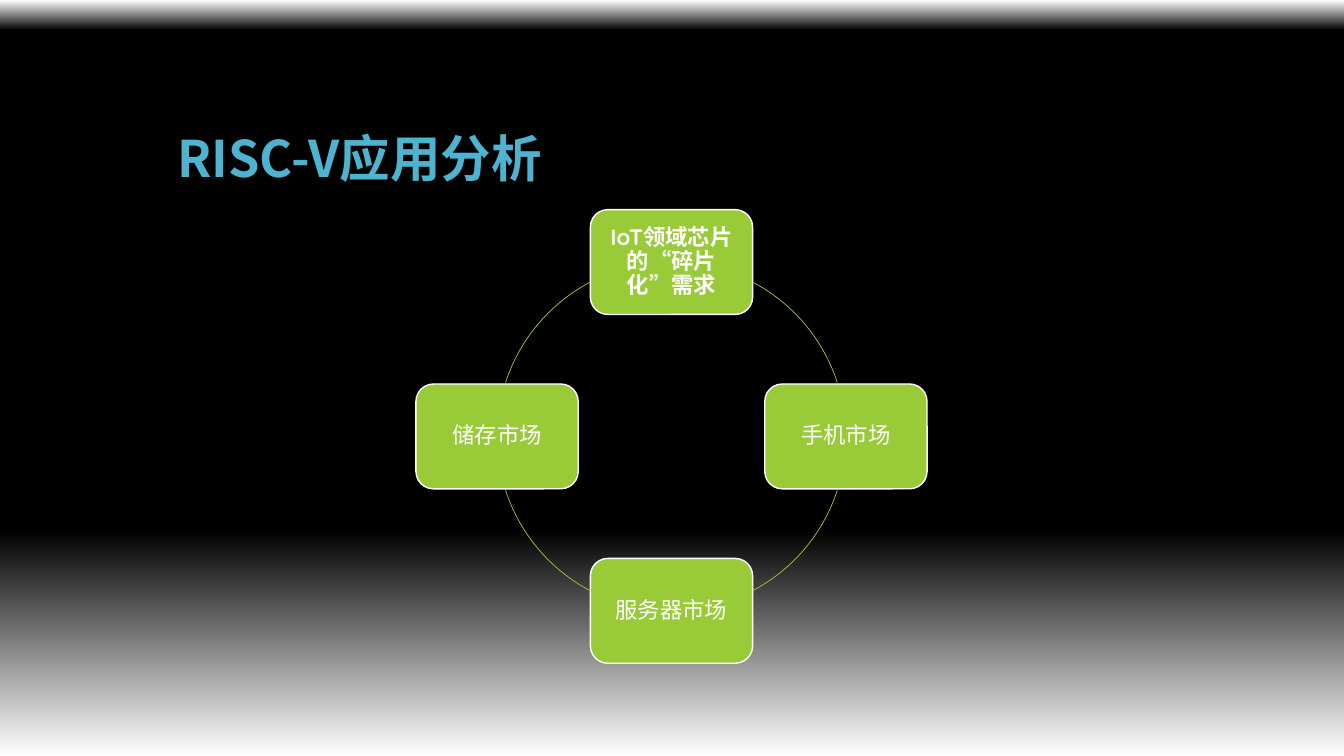
from pptx import Presentation
from pptx.dml.color import RGBColor
from pptx.enum.shapes import MSO_SHAPE
from pptx.enum.text import MSO_ANCHOR, MSO_AUTO_SIZE, PP_ALIGN
from pptx.oxml.ns import qn
from pptx.util import Inches, Pt
from copy import deepcopy

ROUND, ARC = MSO_SHAPE.ROUNDED_RECTANGLE, MSO_SHAPE.ARC
BOTTOM, MIDDLE = MSO_ANCHOR.BOTTOM, MSO_ANCHOR.MIDDLE
LEFT, CENTER = PP_ALIGN.LEFT, PP_ALIGN.CENTER
NO_FIT = MSO_AUTO_SIZE.NONE

HAN, LATIN = "Noto Sans CJK SC", "Quicksand"
GREEN, WHITE, BLUE = "99CB38", "FFFFFF", "4EB3CF"
FADE = [(0, "FFFFFF"), (0.04, "000000"), (0.7, "000000"), (1, "FFFFFF")]

# Ring of markets, clockwise from the top: text, bold, direction from centre
MID_X, MID_Y, RADIUS = 6.66, 4.33, 1.73
BOX_W, BOX_H = 1.61, 1.04
MARKETS = [
    ("IoT领域芯片的“碎片化”需求", True, 0, -1),
    ("手机市场", False, 1, 0),
    ("服务器市场", False, 0, 1),
    ("储存市场", False, -1, 0),
]
ARCS = [(298, 342), (18, 62), (118, 162), (198, 242)]


def color(code):
    return RGBColor.from_string(code)


def write(frame, text, size, font, code, bold, align, anchor):
    frame.text = text
    frame.word_wrap = True
    frame.auto_size = NO_FIT
    frame.vertical_anchor = anchor
    para = frame.paragraphs[0]
    para.alignment = align
    para.line_spacing = 0.9
    run = para.runs[0]
    run.font.size = Pt(size)
    run.font.name = font
    run.font.bold = bold
    run.font.color.rgb = color(code)
    # Chinese typeface and language
    props = run.font._element
    props.set("lang", "zh-CN")
    east = props.makeelement(qn("a:ea"), {"typeface": HAN})
    props.find(qn("a:latin")).addnext(east)


def paint(slide):
    fill = slide.background.fill
    fill.gradient()
    fill.gradient_angle = 270
    stops = slide.element.find(".//" + qn("a:gsLst"))
    while len(stops) < len(FADE):
        stops.append(deepcopy(stops[0]))
    for stop, (place, code) in zip(fill.gradient_stops, FADE):
        stop.position = place
        stop.color.rgb = color(code)


def add_part(slide, kind, x, y, width, height, code, weight):
    """Add an outlined shape centred on x, y."""
    part = slide.shapes.add_shape(
        kind, Inches(x - width / 2), Inches(y - height / 2),
        Inches(width), Inches(height))
    part.shadow.inherit = False
    part.line.color.rgb = color(code)
    part.line.width = Pt(weight)
    return part


def add_box(slide, text, bold, x, y):
    box = add_part(slide, ROUND, x, y, BOX_W, BOX_H, WHITE, 1)
    box.fill.solid()
    box.fill.fore_color.rgb = color(GREEN)
    frame = box.text_frame
    frame.margin_left = frame.margin_right = Inches(0.07)
    frame.margin_top = frame.margin_bottom = Inches(0.07)
    write(frame, text, 16, LATIN, WHITE, bold, CENTER, MIDDLE)


def add_arc(slide, start, end):
    arc = add_part(slide, ARC, MID_X, MID_Y, 2 * RADIUS, 2 * RADIUS, GREEN, 0.5)
    arc.fill.background()
    # Adjustments count 0.6 per degree
    arc.adjustments[0] = start * 0.6
    arc.adjustments[1] = end * 0.6


def main():
    deck = Presentation()
    deck.slide_width, deck.slide_height = Inches(13.33), Inches(7.5)
    slide = deck.slides.add_slide(deck.slide_layouts[5])
    paint(slide)

    # Title
    title = slide.shapes.title
    title.left, title.top = Inches(1.66), Inches(0.42)
    title.width, title.height = Inches(10), Inches(1.5)
    write(title.text_frame, "RISC-V应用分析", 36, HAN, BLUE, True, LEFT, BOTTOM)

    # Cycle of boxes joined by arcs
    for (text, bold, dx, dy), (start, end) in zip(MARKETS, ARCS):
        add_box(slide, text, bold, MID_X + dx * RADIUS, MID_Y + dy * RADIUS)
        add_arc(slide, start, end)

    deck.save("out.pptx")


if __name__ == "__main__":
    main()
